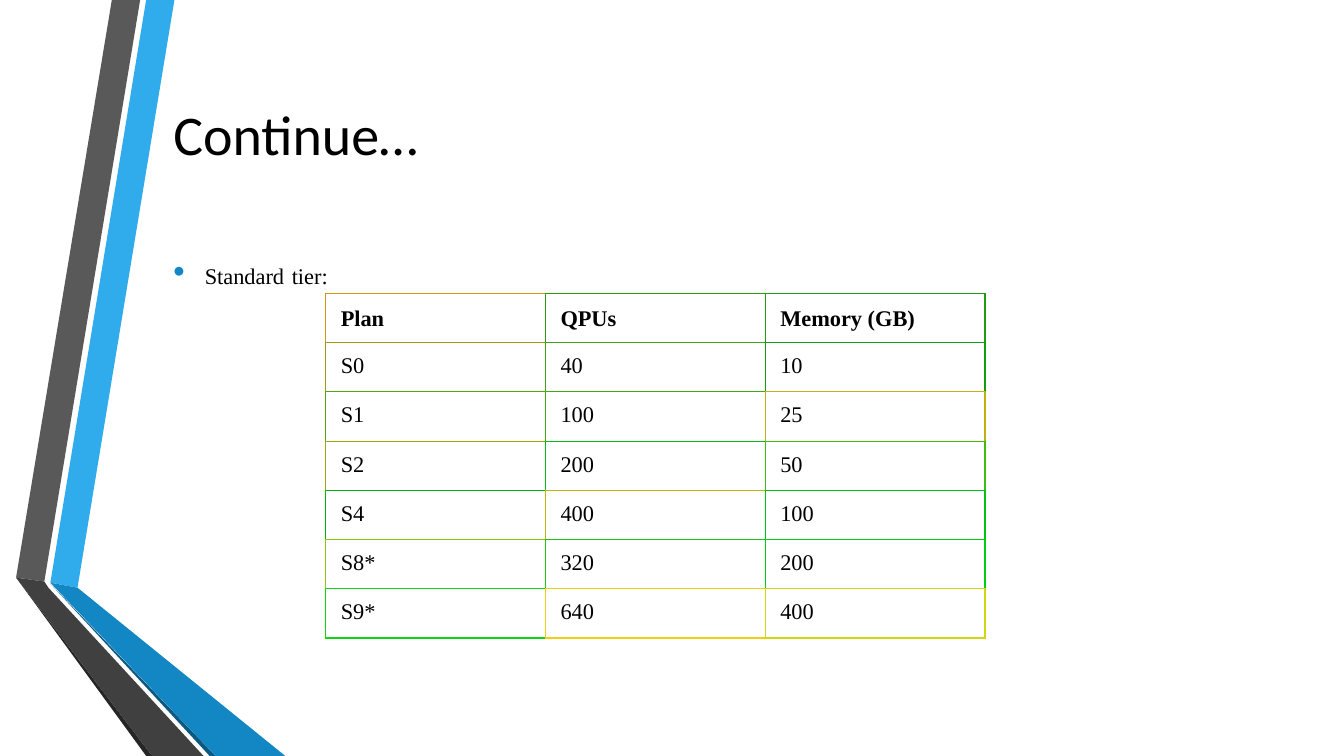
"""Build the slide that lists the plans of the standard tier in a table."""
from dataclasses import dataclass
from typing import Optional

import pptx
import pptx.dml.color
import pptx.enum.text
import pptx.oxml
import pptx.oxml.ns
import pptx.util

Pt = pptx.util.Pt
RGBColor = pptx.dml.color.RGBColor
Anchor = pptx.enum.text.MSO_ANCHOR

BLACK = RGBColor(0x00, 0x00, 0x00)
WHITE = RGBColor(0xFF, 0xFF, 0xFF)
SKY = RGBColor(0x30, 0xAC, 0xEC)
BLUE = RGBColor(0x12, 0x87, 0xC3)
NAVY = RGBColor(0x0C, 0x5A, 0x82)
GREY = RGBColor(0x59, 0x59, 0x59)
CHARCOAL = RGBColor(0x40, 0x40, 0x40)
SOOT = RGBColor(0x26, 0x26, 0x26)

SANS = "Calibri"
SERIF = "Times New Roman"


@dataclass(frozen=True)
class Band:
    color: RGBColor
    corners: tuple[tuple[float, float], ...]


@dataclass(frozen=True)
class PlanRow:
    texts: tuple[str, str, str]
    border_colors: tuple[str, str, str]


BANDS = (
    Band(SKY, ((36, 416.2), (55.4, 419.8), (124.6, 0), (104.4, 0))),
    Band(GREY, ((100.1, 0), (79.9, 0), (11.5, 412.6), (31.7, 415.4))),
    Band(SOOT, ((11.5, 412.6), (104.4, 540), (108.7, 540))),
    Band(NAVY, ((36, 416.9), (149.8, 540), (154.1, 540))),
    Band(BLUE, ((36, 416.2), (154.1, 540), (203.8, 540), (55.4, 419.8))),
    Band(CHARCOAL, ((145.4, 540), (34.6, 419.8), (31.7, 415.4), (11.5, 412.6), (108.7, 540))),
)

ROWS = (
    PlanRow(("Plan", "QPUs", "Memory (GB)"), ("D09711", "309811", "209C11")),
    PlanRow(("S0", "40", "10"), ("A09A11", "40A311", "109D11")),
    PlanRow(("S1", "100", "25"), ("50A811", "40A911", "C0B011")),
    PlanRow(("S2", "200", "50"), ("A0A611", "00BC11", "40BB11")),
    PlanRow(("S4", "400", "100"), ("00B311", "C0B611", "00C211")),
    PlanRow(("S8*", "320", "200"), ("90C511", "20C611", "00CE11")),
    PlanRow(("S9*", "640", "400"), ("10D311", "F0CE11", "D0D611")),
)


def add_text(paragraph, text: str, *, font: str = SERIF, size: float = 16,
             bold: Optional[bool] = False, color: RGBColor = BLACK) -> None:
    """Append a formatted run to a paragraph."""
    run = paragraph.add_run()
    run.text = text
    run.font.name = font
    run.font.size = Pt(size)
    run.font.bold = bold
    run.font.color.rgb = color


def add_band(slide, band: Band) -> None:
    """Draw one filled band of the side ornament."""
    first, *others = [(Pt(x), Pt(y)) for x, y in band.corners]
    builder = slide.shapes.build_freeform(*first)
    builder.add_line_segments(others, close=True)
    shape = builder.convert_to_shape()
    shape.shadow.inherit = False
    shape.fill.solid()
    shape.fill.fore_color.rgb = band.color
    shape.line.fill.background()


def place_placeholder(placeholder, top: float, height: float, anchor: Anchor):
    """Move a placeholder and return its left-aligned first paragraph."""
    placeholder.left, placeholder.top = Pt(116.6), Pt(top)
    placeholder.width, placeholder.height = Pt(789.1), Pt(height)
    frame = placeholder.text_frame
    frame.auto_size = pptx.enum.text.MSO_AUTO_SIZE.NONE
    frame.word_wrap = True
    frame.vertical_anchor = anchor
    paragraph = frame.paragraphs[0]
    paragraph.alignment = pptx.enum.text.PP_ALIGN.LEFT
    return paragraph


def set_bullet(paragraph, color: RGBColor, percent: int, indent: float) -> None:
    """Give a paragraph a coloured round bullet with a hanging indent."""
    properties = paragraph._p.get_or_add_pPr()
    properties.set("marL", str(Pt(indent)))
    properties.set("indent", str(-Pt(indent)))
    namespace = pptx.oxml.ns.nsdecls("a")
    for markup in (
        f'<a:buClr {namespace}><a:srgbClr val="{color}"/></a:buClr>',
        f'<a:buSzPct {namespace} val="{percent * 1000}"/>',
        f'<a:buFont {namespace} typeface="Arial"/>',
        f'<a:buChar {namespace} char="•"/>',
    ):
        properties.append(pptx.oxml.parse_xml(markup))


def set_borders(cell, borders: dict[str, tuple[str, float]]) -> None:
    """Draw the borders of a cell, given as side: (colour, width)."""
    properties = cell._tc.get_or_add_tcPr()
    for position, (side, (color, width)) in enumerate(borders.items()):
        properties.insert(position, pptx.oxml.parse_xml(
            f'<a:ln{side} {pptx.oxml.ns.nsdecls("a")} w="{Pt(width)}">'
            f'<a:solidFill><a:srgbClr val="{color}"/></a:solidFill></a:ln{side}>'))


def add_plan_table(slide, rows: tuple[PlanRow, ...]) -> None:
    """Add the table, where neighbouring cells share their border colours."""
    last_row, last_column = len(rows) - 1, len(rows[0].texts) - 1
    table = slide.shapes.add_table(last_row + 1, last_column + 1, Pt(232.6), Pt(209.5),
                                   Pt(471), Pt(246.4)).table
    table.first_row = table.horz_banding = False
    for column in table.columns:
        column.width = Pt(157)
    for row_index, row in enumerate(rows):
        table.rows[row_index].height = Pt(35.2)
        below = rows[min(row_index + 1, last_row)]
        is_header = row_index == 0
        for column_index, text in enumerate(row.texts):
            cell = table.cell(row_index, column_index)
            cell.margin_left = cell.margin_right = Pt(10.8)
            cell.margin_top = cell.margin_bottom = Pt(7.9)
            cell.vertical_anchor = Anchor.BOTTOM if is_header else Anchor.TOP
            cell.fill.solid()
            cell.fill.fore_color.rgb = WHITE
            add_text(cell.text_frame.paragraphs[0], text, bold=is_header)
            own = row.border_colors[column_index]
            set_borders(cell, {
                "L": (own, 1),
                "R": (row.border_colors[min(column_index + 1, last_column)], 1),
                "T": (own, 1 if is_header else 0.75),
                "B": (below.border_colors[column_index], 1 if row_index == last_row else 0.75),
            })


def main() -> None:
    """Build and save the presentation."""
    presentation = pptx.Presentation()
    presentation.slide_width, presentation.slide_height = Pt(960), Pt(540)
    slide = presentation.slides.add_slide(presentation.slide_layouts[1])
    for band in BANDS:
        add_band(slide, band)

    title = place_placeholder(slide.shapes.title, 54, 82.1, Anchor.MIDDLE)
    add_text(title, "Continue…", font=SANS, size=40)

    body = slide.placeholders[1]
    tier = place_placeholder(body, 136.1, 319.7, Anchor.TOP)
    body.text_frame.margin_top = Pt(43)
    tier.space_before, tier.space_after = Pt(0), Pt(6)
    set_bullet(tier, BLUE, 145, 22.5)
    add_text(tier, "Standard")
    add_text(tier, " ", font=SANS, size=24, bold=True)
    add_text(tier, "tier:")

    add_plan_table(slide, ROWS)
    presentation.save("out.pptx")


if __name__ == "__main__":
    main()
